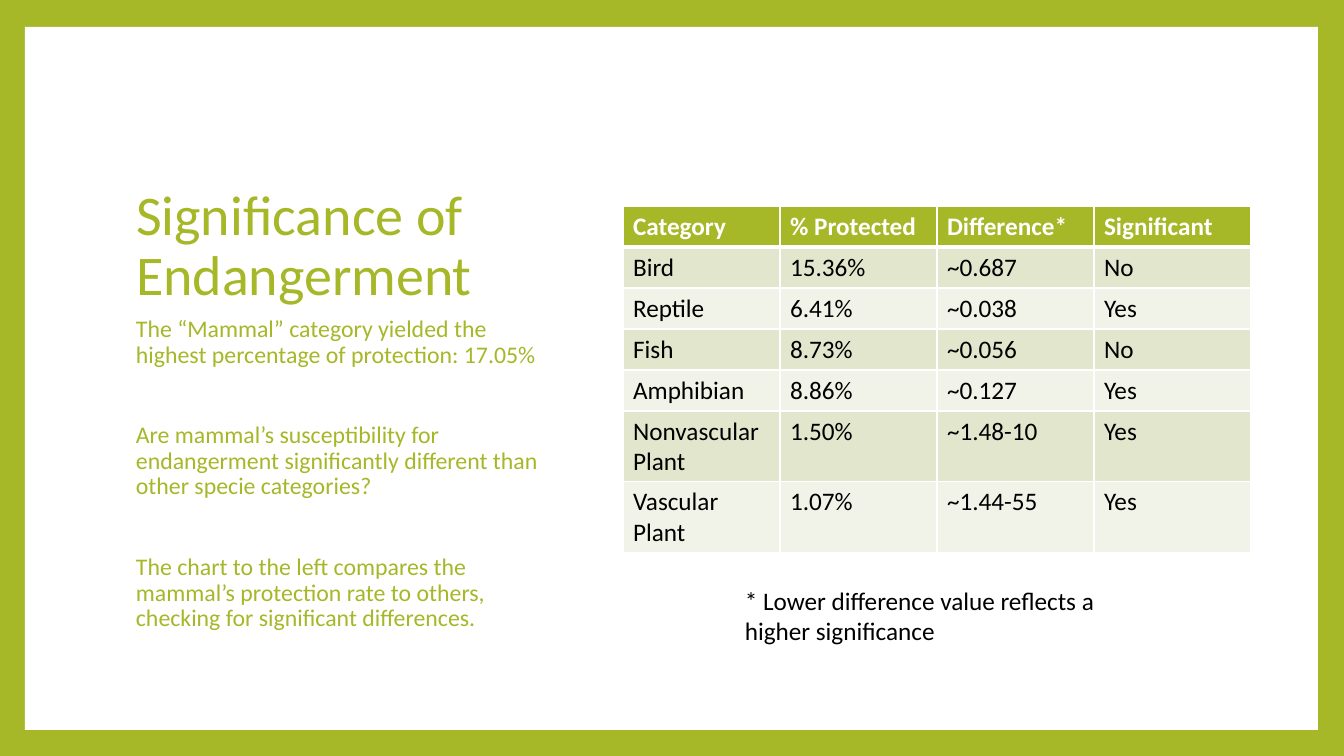
from lxml import etree
from pptx import Presentation, util as u
from pptx.dml.color import RGBColor
from pptx.enum import shapes, text
from pptx.oxml.ns import qn

# Content
TITLE = "Significance of Endangerment"
NOTES = [
    "The “Mammal” category yielded the highest percentage of protection: 17.05%",
    "Are mammal’s susceptibility for endangerment significantly different than other specie categories?",
    "The chart to the left compares the mammal’s protection rate to others, checking for significant differences.",
]
ROWS = [
    ("Category", "% Protected", "Difference*", "Significant"),
    ("Bird", "15.36%", "~0.687", "No"),
    ("Reptile", "6.41%", "~0.038", "Yes"),
    ("Fish", "8.73%", "~0.056", "No"),
    ("Amphibian", "8.86%", "~0.127", "Yes"),
    ("Nonvascular Plant", "1.50%", "~1.48-10", "Yes"),
    ("Vascular Plant", "1.07%", "~1.44-55", "Yes"),
]
FOOT = "* Lower difference value reflects a higher significance"
FONT, GREEN, WHITE, BLACK = "Calibri", "A6B727", "FFFFFF", "000000"
BANDS = ["F1F3E8", "E1E6CD"]
COL, ROW = 157, 41


def px(n):
    return round(n * 914400 / 100.8)


def box(*nums):
    return [px(n) for n in nums]


def paint(fill, hue):
    fill.solid()
    fill.fore_color.rgb = RGBColor.from_string(hue)


def style(para, size, hue, bold=False):
    for run in para.runs:
        font = run.font
        font.name, font.size, font.bold = FONT, u.Pt(size), bold
        font.color.rgb = RGBColor.from_string(hue)


def add_text(slide, place, lines, size, hue):
    frame = slide.shapes.add_textbox(*box(*place)).text_frame
    frame.word_wrap = True
    frame.text = "\n".join(lines)
    for para in frame.paragraphs:
        style(para, size, hue)
    return frame


def edge(cell, head):
    props = cell._tc.get_or_add_tcPr()
    for i, side in enumerate(("lnL", "lnR", "lnT", "lnB")):
        wide = 3 if head and side == "lnB" else 1
        line = etree.Element(qn("a:" + side), w=str(u.Pt(wide)))
        fill = etree.SubElement(line, qn("a:solidFill"))
        etree.SubElement(fill, qn("a:srgbClr"), val=WHITE)
        props.insert(i, line)


def main():
    deck = Presentation()
    deck.slide_width, deck.slide_height = box(1344, 756)
    slide = deck.slides.add_slide(deck.slide_layouts[5])

    # Green frame around a white panel
    paint(slide.background.fill, GREEN)
    panel = slide.shapes.add_shape(
        shapes.MSO_SHAPE.RECTANGLE, *box(25, 27, 1293, 703))
    panel.shadow.inherit = False
    paint(panel.fill, WHITE)
    panel.line.fill.background()
    slide.shapes._spTree.insert(2, panel._element)

    # Title
    title = slide.shapes.title
    title.left, title.top, title.width, title.height = box(126, 121, 433, 192)
    frame = title.text_frame
    frame.text = TITLE
    frame.word_wrap = True
    frame.auto_size = text.MSO_AUTO_SIZE.NONE
    frame.vertical_anchor = text.MSO_ANCHOR.BOTTOM
    head = frame.paragraphs[0]
    head.alignment = text.PP_ALIGN.LEFT
    head.line_spacing = 0.9
    style(head, 40, GREEN)

    # Notes under the title
    notes = add_text(slide, (126, 312, 433, 333), NOTES, 17, GREEN)
    for i, para in enumerate(notes.paragraphs):
        para.line_spacing = 0.9
        para.space_before = u.Pt(39 if i else 10)

    # Table
    cols = len(ROWS[0])
    place = box(623, 206, COL * cols, ROW * len(ROWS))
    table = slide.shapes.add_table(len(ROWS), cols, *place).table
    for col in table.columns:
        col.width = px(COL)
    for r, row in enumerate(ROWS):
        table.rows[r].height = px(ROW)
        for c, word in enumerate(row):
            cell = table.cell(r, c)
            cell.text = word
            style(cell.text_frame.paragraphs[0], 18, BLACK if r else WHITE, r == 0)
            paint(cell.fill, BANDS[r % 2] if r else GREEN)
            edge(cell, r == 0)

    # Footnote
    add_text(slide, (735, 580, 402, 72), [FOOT], 18, BLACK)
    deck.save("out.pptx")


if __name__ == "__main__":
    main()
